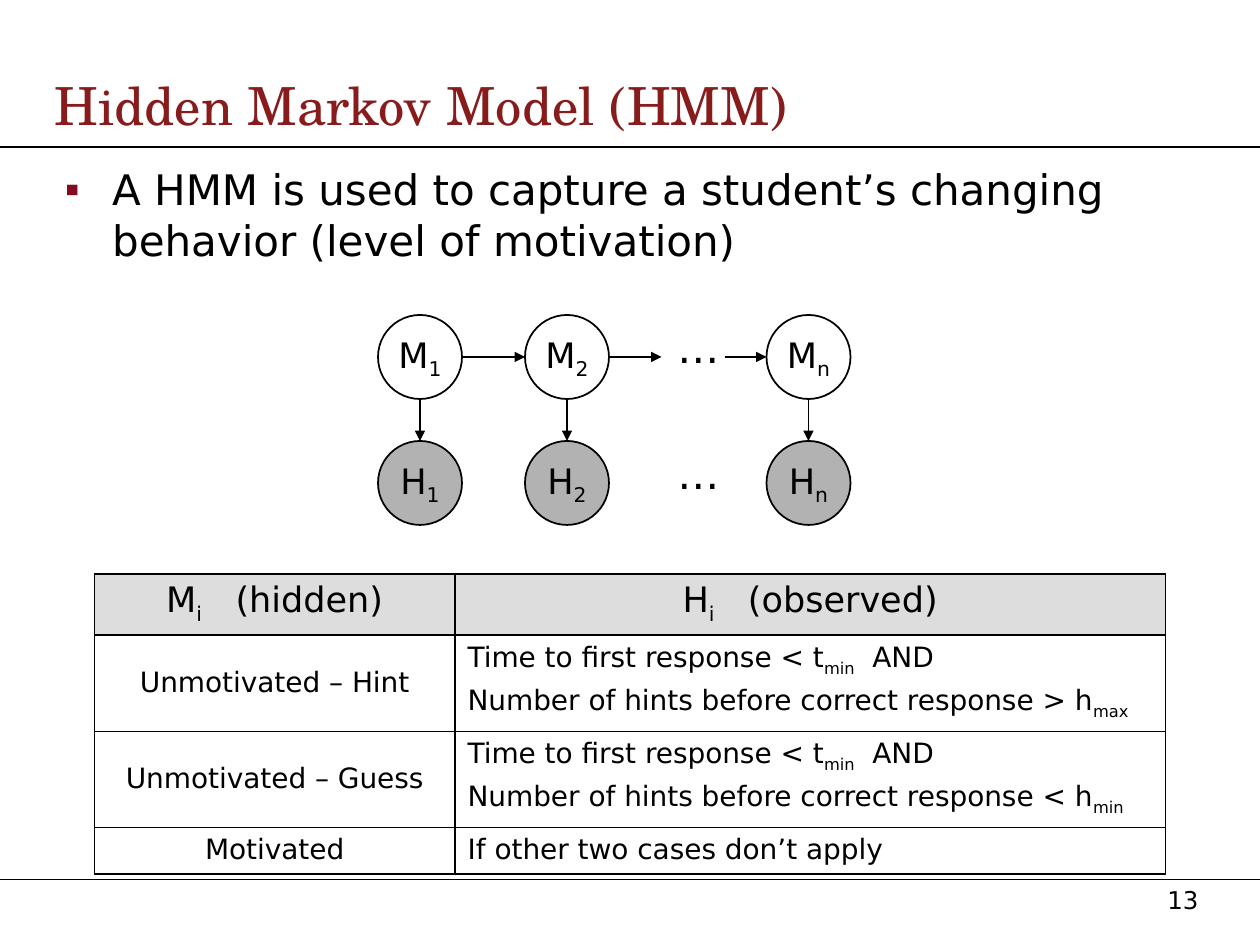
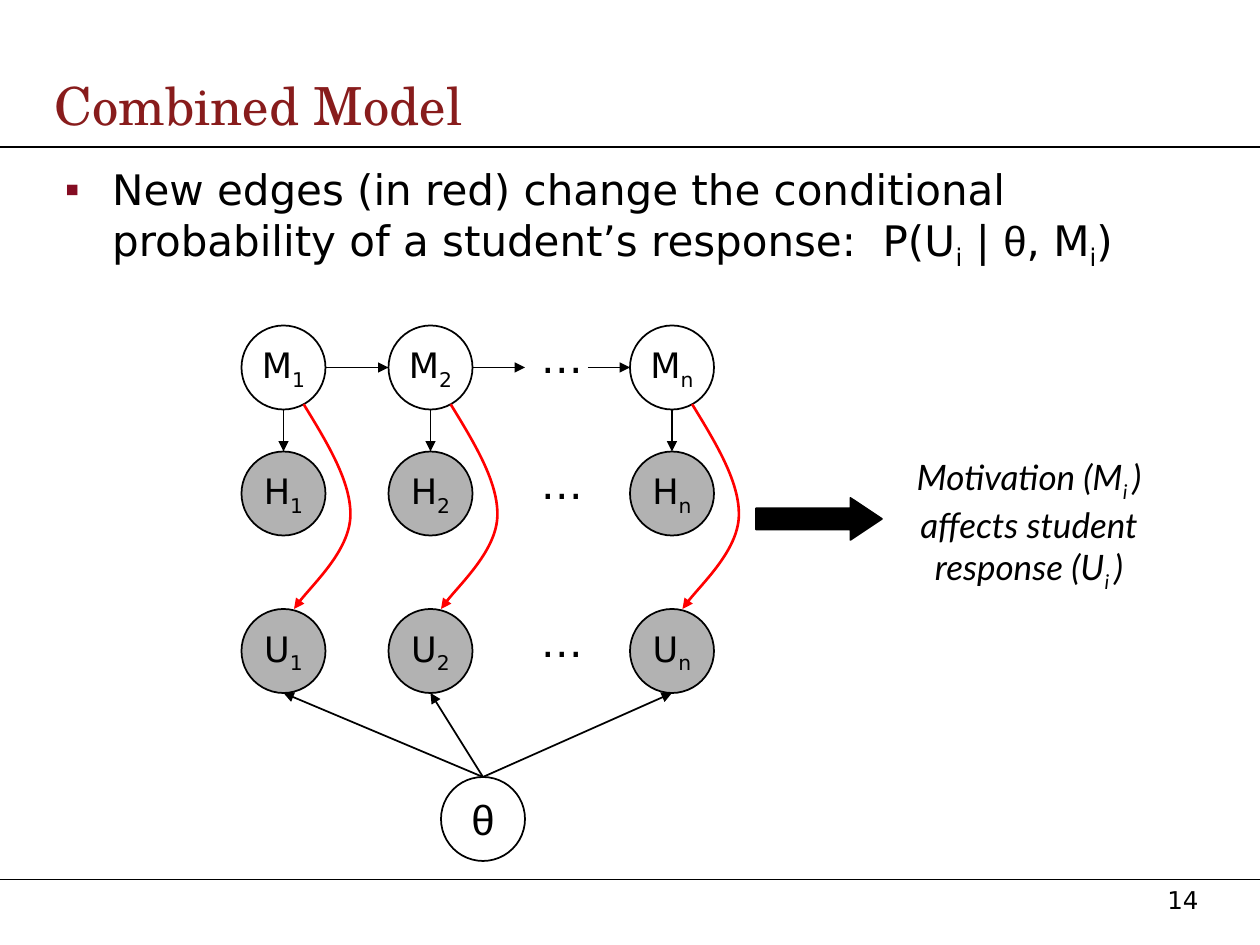
from dataclasses import dataclass, replace

from lxml import etree
from pptx import Presentation
from pptx.dml.color import RGBColor
from pptx.enum.shapes import MSO_CONNECTOR, MSO_SHAPE
from pptx.enum.text import MSO_ANCHOR, PP_ALIGN
from pptx.oxml.ns import qn
from pptx.util import Pt

STRAIGHT = MSO_CONNECTOR.STRAIGHT
OVAL = MSO_SHAPE.OVAL
RIGHT_ARROW = MSO_SHAPE.RIGHT_ARROW
LEFT, CENTER = PP_ALIGN.LEFT, PP_ALIGN.CENTER
TOP, MIDDLE = MSO_ANCHOR.TOP, MSO_ANCHOR.MIDDLE

# Colours
BLACK, MAROON, BULLET_RED = "000000", "881C1C", "840C22"
OBSERVED_GREY, HEADER_GREY, EDGE_RED = "B2B2B2", "DDDDDD", "FF0000"


@dataclass(frozen=True)
class TextStyle:
    size: float
    font: str = "DejaVu Sans"
    color: str = BLACK
    italic: bool = False


TITLE = TextStyle(30, "TeX Gyre Schola", MAROON)
BODY = TextStyle(24)
GREEK = replace(BODY, font="Arial")
NODE = TextStyle(20)
CELL = TextStyle(16)
NUMBER = TextStyle(14)
REMARK = TextStyle(20, "Lato", italic=True)

# Slide and diagram measures, in points
SLIDE_WIDTH, SLIDE_HEIGHT = 720, 540
NODE_SIZE, RADIUS = 48, 24
COLUMNS = {"1": 0, "2": 84, "n": 222}
ROW_M, ROW_H, ROW_U = 0, 72, 162
ELLIPSIS_OFFSET = 164
EDGE_CURVE = [(35.5, 45), (49.2, 67.4), (62.9, 89.8), (62.2, 109.2),
              (61.4, 128.6), (35.5, 153.1), (30, 162)]

THICK, THIN = 1.08, 0.45
TABLE_COLUMNS = (206, 406)
TABLE_ROWS = (34.8, 55, 55, 26.7)
TABLE_TEXT = [
    (["M~i~   (hidden)"], ["H~i~   (observed)"]),
    (["Unmotivated – Hint"],
     ["Time to first response < t~min~  AND",
      "Number of hints before correct response > h~max"]),
    (["Unmotivated – Guess"],
     ["Time to first response < t~min~  AND",
      "Number of hints before correct response < h~min"]),
    (["Motivated"], ["If other two cases don’t apply"]),
]


def rgb(color):
    return RGBColor.from_string(color)


# Text
def add_runs(paragraph, text, style):
    """Add runs; the parts between tildes are subscripts."""
    for index, part in enumerate(text.split("~")):
        if not part:
            continue
        run = paragraph.add_run()
        run.text = part
        run.font.name = style.font
        run.font.size = Pt(style.size)
        run.font.italic = style.italic
        run.font.color.rgb = rgb(style.color)
        if index % 2:
            run.font._element.set("baseline", "-25000")


def add_text(slide, box, text, style, align=LEFT, anchor=TOP, wrap=True):
    shape = slide.shapes.add_textbox(*map(Pt, box))
    frame = shape.text_frame
    frame.word_wrap = wrap
    frame.vertical_anchor = anchor
    paragraph = frame.paragraphs[0]
    paragraph.alignment = align
    add_runs(paragraph, text, style)
    return paragraph


def add_bullet(paragraph):
    properties = paragraph._p.get_or_add_pPr()
    properties.set("marL", str(Pt(27)))
    properties.set("indent", str(-Pt(27)))
    color = etree.SubElement(properties, qn("a:buClr"))
    etree.SubElement(color, qn("a:srgbClr"), val=BULLET_RED)
    etree.SubElement(properties, qn("a:buFont"), typeface="Arial")
    etree.SubElement(properties, qn("a:buChar"), char="▪")


# Lines and shapes
def set_line(shape, color=BLACK, width=1, arrow=False):
    shape.line.color.rgb = rgb(color)
    shape.line.width = Pt(width)
    if arrow:
        line = shape.line._get_or_add_ln()
        etree.SubElement(line, qn("a:tailEnd"), type="triangle")


def add_line(slide, start, end, arrow=True):
    connector = slide.shapes.add_connector(STRAIGHT, *map(Pt, start + end))
    set_line(connector, arrow=arrow)
    etree.SubElement(connector._element.spPr, qn("a:effectLst"))


def add_preset(slide, kind, box, fill=None):
    shape = slide.shapes.add_shape(kind, *map(Pt, box))
    shape.shadow.inherit = False
    if fill:
        shape.fill.solid()
        shape.fill.fore_color.rgb = rgb(fill)
    else:
        shape.fill.background()
    set_line(shape)
    return shape


def add_node(slide, left, top, text, style=NODE, fill=None):
    shape = add_preset(slide, OVAL, (left, top, NODE_SIZE, NODE_SIZE), fill)
    frame = shape.text_frame
    frame.word_wrap = False
    frame.vertical_anchor = MIDDLE
    frame.paragraphs[0].alignment = CENTER
    add_runs(frame.paragraphs[0], text, style)


def add_curved_edge(slide, left, top):
    points = [(Pt(left + x), Pt(top + y)) for x, y in EDGE_CURVE]
    builder = slide.shapes.build_freeform(*points[0])
    builder.add_line_segments(points[1:], close=False)
    shape = builder.convert_to_shape()
    shape.shadow.inherit = False
    shape.fill.background()
    set_line(shape, EDGE_RED, 1.5, arrow=True)
    # Join every three straight segments into one Bezier segment
    outline = shape._element.find(".//" + qn("a:path"))
    segments = outline.findall(qn("a:lnTo"))
    for first in range(0, len(segments), 3):
        curve = etree.SubElement(outline, qn("a:cubicBezTo"))
        for segment in segments[first:first + 3]:
            curve.append(segment[0])
            outline.remove(segment)


# Diagram
def add_node_row(slide, left, top, letter, fill=None):
    for index, offset in COLUMNS.items():
        add_node(slide, left + offset, top, f"{letter}~{index}", fill=fill)
    add_text(slide, (left + ELLIPSIS_OFFSET, top, 33, 36), "…", BODY, wrap=False)


def add_markov_chain(slide, left, top):
    add_node_row(slide, left, top + ROW_H, "H", OBSERVED_GREY)
    add_node_row(slide, left, top + ROW_M, "M")
    for offset in COLUMNS.values():
        center = left + offset + RADIUS
        add_line(slide, (center, top + NODE_SIZE), (center, top + ROW_H))
    first, second, last = COLUMNS.values()
    middle = top + RADIUS
    for start, end in ((first + NODE_SIZE, second),
                       (second + NODE_SIZE, second + NODE_SIZE + 30),
                       (last - 24, last)):
        add_line(slide, (left + start, middle), (left + end, middle))


def add_responses(slide, left, top):
    add_node_row(slide, left, top + ROW_U, "U", OBSERVED_GREY)
    theta_left, theta_top = left + 114, top + 258
    add_node(slide, theta_left, theta_top, "θ", GREEK)
    for offset in COLUMNS.values():
        add_line(slide, (theta_left + RADIUS, theta_top),
                 (left + offset + RADIUS, top + ROW_U + NODE_SIZE))
        add_curved_edge(slide, left + offset, top)


# Table
def set_borders(cell, top, bottom):
    properties = cell._tc.get_or_add_tcPr()
    for side, width in (("L", THICK), ("R", THICK), ("T", top), ("B", bottom)):
        line = etree.SubElement(properties, qn(f"a:ln{side}"), w=str(Pt(width)))
        fill = etree.SubElement(line, qn("a:solidFill"))
        etree.SubElement(fill, qn("a:srgbClr"), val=BLACK)


def fill_cell(cell, lines, style, align):
    for index, text in enumerate(lines):
        frame = cell.text_frame
        paragraph = frame.add_paragraph() if index else frame.paragraphs[0]
        paragraph.alignment = align
        if index:
            paragraph.space_before = Pt(4)
        add_runs(paragraph, text, style)


def add_state_table(slide):
    box = (54, 328, sum(TABLE_COLUMNS), sum(TABLE_ROWS))
    frame = slide.shapes.add_table(len(TABLE_ROWS), len(TABLE_COLUMNS), *map(Pt, box))
    table = frame.table
    table.first_row = table.horz_banding = False
    for column, width in zip(table.columns, TABLE_COLUMNS):
        column.width = Pt(width)
    last = len(TABLE_ROWS) - 1
    for r, (height, texts) in enumerate(zip(TABLE_ROWS, TABLE_TEXT)):
        table.rows[r].height = Pt(height)
        for c, lines in enumerate(texts):
            cell = table.cell(r, c)
            cell.margin_left = cell.margin_right = Pt(7.2)
            cell.margin_top = cell.margin_bottom = Pt(3.6)
            set_borders(cell, THICK if r <= 1 else THIN,
                        THICK if r in (0, last) else THIN)
            if r == 0:
                cell.fill.solid()
                cell.fill.fore_color.rgb = rgb(HEADER_GREY)
            else:
                cell.fill.background()
            if c == 0 and 0 < r < last:
                cell.vertical_anchor = MIDDLE
            fill_cell(cell, lines, CELL if r else NODE,
                      LEFT if r and c else CENTER)


# Slides
def add_base_slide(presentation, number, title, body):
    slide = presentation.slides.add_slide(presentation.slide_layouts[6])
    for y in (84, 502.5):
        add_line(slide, (0, y), (SLIDE_WIDTH, y), arrow=False)
    add_text(slide, (660, 502, 48, 26.5), str(number), NUMBER)
    add_text(slide, (24, 39, 696, 42), title, TITLE, anchor=MIDDLE)
    paragraph = add_text(slide, (30, 90, 672, 408), body, BODY)
    add_bullet(paragraph)
    return slide, paragraph


def add_hidden_markov_slide(presentation):
    slide, _ = add_base_slide(
        presentation, 13, "Hidden Markov Model (HMM)",
        "A HMM is used to capture a student’s changing behavior (level of motivation)")
    add_markov_chain(slide, 216, 180)
    add_state_table(slide)


def add_combined_slide(presentation):
    slide, paragraph = add_base_slide(
        presentation, 14, "Combined Model",
        "New edges (in red) change the conditional probability of a "
        "student’s response:  P(U~i~ | ")
    add_runs(paragraph, "θ", GREEK)
    add_runs(paragraph, ", M~i~)", BODY)
    add_markov_chain(slide, 138, 186)
    add_responses(slide, 138, 186)
    arrow = add_preset(slide, RIGHT_ARROW, (432, 284.5, 72, 24), BLACK)
    arrow.adjustments[0], arrow.adjustments[1] = 0.5, 0.75
    add_text(slide, (504, 257, 168, 86),
             "Motivation (M~i ~) affects student response (U~i ~)",
             REMARK, CENTER)


def main():
    presentation = Presentation()
    presentation.slide_width = Pt(SLIDE_WIDTH)
    presentation.slide_height = Pt(SLIDE_HEIGHT)
    add_hidden_markov_slide(presentation)
    add_combined_slide(presentation)
    presentation.save("out.pptx")


if __name__ == "__main__":
    main()
